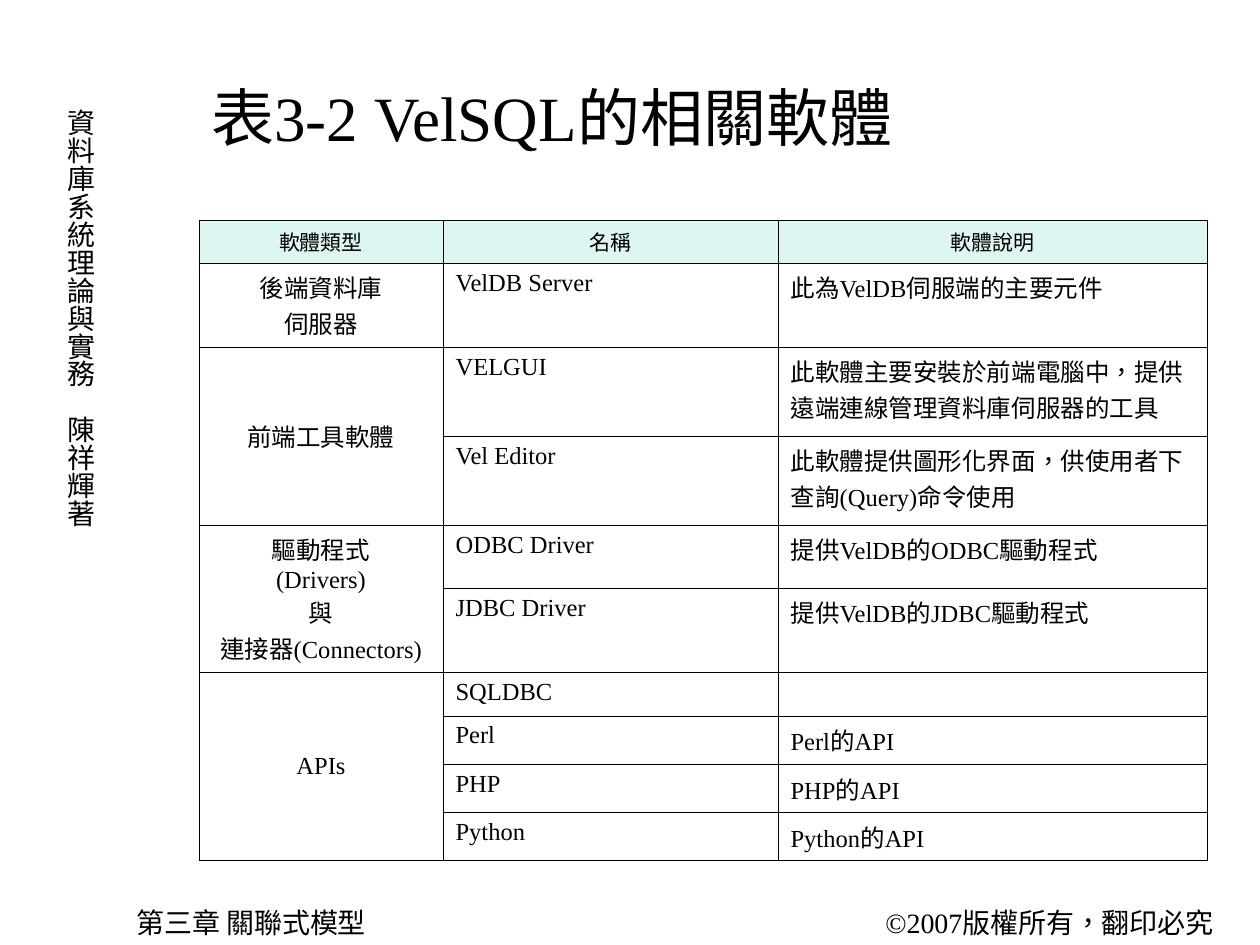
from itertools import groupby

from lxml import etree
from pptx import Presentation
from pptx.dml.color import RGBColor
from pptx.enum.lang import MSO_LANGUAGE_ID
from pptx.enum.text import MSO_ANCHOR, PP_ALIGN
from pptx.oxml.ns import qn
from pptx.util import Emu, Pt

LEFT, CENTER = PP_ALIGN.LEFT, PP_ALIGN.CENTER
TOP, MIDDLE = MSO_ANCHOR.TOP, MSO_ANCHOR.MIDDLE
CHINESE = MSO_LANGUAGE_ID.TRADITIONAL_CHINESE
EMU_PER_PX = 914400 / 126

THEME = {
    "latin": "Times New Roman", "cjk": "Noto Sans CJK SC",
    "ink": "000000", "header": "DEF6F1", "body": "FFFFFF",
    "title": 36, "margin": 16, "head": 12, "cell": 14, "border": 0.45,
}

COLUMNS = (244, 335, 429)
ROW_HEIGHTS = (43, 84, 89, 89, 63, 84, 44, 49, 48, 48)
HEADINGS = ("軟體類型", "名稱", "軟體說明")
# Software type, its vertical anchor, and its (name, description) rows
GROUPS = (
    ("後端資料庫\n伺服器", MIDDLE, (
        ("VelDB Server", "此為VelDB伺服端的主要元件"),)),
    ("前端工具軟體", MIDDLE, (
        ("VELGUI", "此軟體主要安裝於前端電腦中，提供遠端連線管理資料庫伺服器的工具"),
        ("Vel Editor", "此軟體提供圖形化界面，供使用者下查詢(Query)命令使用"))),
    ("驅動程式\n(Drivers)\n與\v連接器(Connectors)", TOP, (
        ("ODBC Driver", "提供VelDB的ODBC驅動程式"),
        ("JDBC Driver", "提供VelDB的JDBC驅動程式"))),
    ("APIs", MIDDLE, (
        ("SQLDBC", ""),
        ("Perl", "Perl的API"),
        ("PHP", "PHP的API"),
        ("Python", "Python的API"))),
)


def px(length):
    return Emu(round(length * EMU_PER_PX))


def apply(target, values):
    for name, value in values.items():
        setattr(target, name, value)


def add_run(paragraph, text, size, latin):
    run = paragraph.add_run()
    run.text = text
    apply(run.font, {"size": Pt(size), "name": latin, "language_id": CHINESE})
    run.font.color.rgb = RGBColor.from_string(THEME["ink"])
    east_asian = etree.SubElement(run.font._element, qn("a:ea"))
    east_asian.set("typeface", THEME["cjk"])


def add_label(slide, box, text, size, **frame_format):
    frame = slide.shapes.add_textbox(*map(px, box)).text_frame
    apply(frame, {"word_wrap": True, **frame_format})
    add_run(frame.paragraphs[0], text, size, THEME["latin"])
    return frame


def add_title(slide, box):
    add_label(slide, box, "表3-2 VelSQL的相關軟體", THEME["title"],
              vertical_anchor=MIDDLE)


def add_book_spine(slide, box):
    frame = add_label(slide, box, "資料庫系統理論與實務　陳祥輝著",
                      THEME["margin"], margin_left=px(6), margin_right=px(6),
                      margin_top=px(13), margin_bottom=px(13))
    frame._txBody.bodyPr.set("vert", "eaVert")


def add_footer(slide, box):
    left, top, width, height = box
    add_label(slide, (left, top, 496, height), "第三章 關聯式模型", THEME["margin"])
    add_label(slide, (left + width - 382, top, 382, height),
              "©2007版權所有，翻印必究", THEME["margin"])


def add_borders(cell):
    properties = cell._tc.get_or_add_tcPr()
    for index, side in enumerate(("lnL", "lnR", "lnT", "lnB")):
        line = etree.Element(qn(f"a:{side}"), w=str(Pt(THEME["border"])))
        fill = etree.SubElement(line, qn("a:solidFill"))
        etree.SubElement(fill, qn("a:srgbClr"), val=THEME["ink"])
        properties.insert(index, line)


def fill_cell(cell, text, size, align=LEFT, anchor=TOP):
    cell.vertical_anchor = anchor
    frame = cell.text_frame
    for number, line in enumerate(text.split("\n")):
        paragraph = frame.add_paragraph() if number else frame.paragraphs[0]
        paragraph.alignment = align
        # Latin and Chinese stretches each take their own font
        for is_latin, letters in groupby(line, str.isascii):
            part = "".join(letters)
            if part == "\v":
                paragraph.add_line_break()
            else:
                add_run(paragraph, part, size, THEME["latin" if is_latin else "cjk"])
        if not line:
            paragraph._p.get_or_add_endParaRPr().set("sz", str(size * 100))


def add_software_table(slide, box):
    table = slide.shapes.add_table(len(ROW_HEIGHTS), len(COLUMNS), *map(px, box)).table
    apply(table, {"first_row": False, "horz_banding": False})
    for column, width in zip(table.columns, COLUMNS):
        column.width = px(width)
    for row, height in zip(table.rows, ROW_HEIGHTS):
        row.height = px(height)

    # Fills and borders
    for index, row in enumerate(table.rows):
        for cell in row.cells:
            cell.fill.solid()
            color = THEME["body" if index else "header"]
            cell.fill.fore_color.rgb = RGBColor.from_string(color)
            add_borders(cell)

    # Headings, then one merged type cell for each group
    for column, heading in enumerate(HEADINGS):
        fill_cell(table.cell(0, column), heading, THEME["head"], CENTER)
    first = 1
    for software_type, anchor, entries in GROUPS:
        type_cell = table.cell(first, 0)
        if len(entries) > 1:
            type_cell.merge(table.cell(first + len(entries) - 1, 0))
        fill_cell(type_cell, software_type, THEME["cell"], CENTER, anchor)
        for row, entry in enumerate(entries, first):
            for column, text in enumerate(entry, 1):
                fill_cell(table.cell(row, column), text, THEME["cell"])
        first += len(entries)


def main():
    presentation = Presentation()
    apply(presentation, {"slide_width": px(1260), "slide_height": px(945)})
    slide = presentation.slides.add_slide(presentation.slide_layouts[6])
    add_book_spine(slide, (45, 96, 58, 448))
    add_footer(slide, (124, 899, 1131, 46))
    add_title(slide, (199, 37, 1008, 158))
    add_software_table(slide, (199, 220, sum(COLUMNS), sum(ROW_HEIGHTS)))
    presentation.save("out.pptx")


if __name__ == "__main__":
    main()
